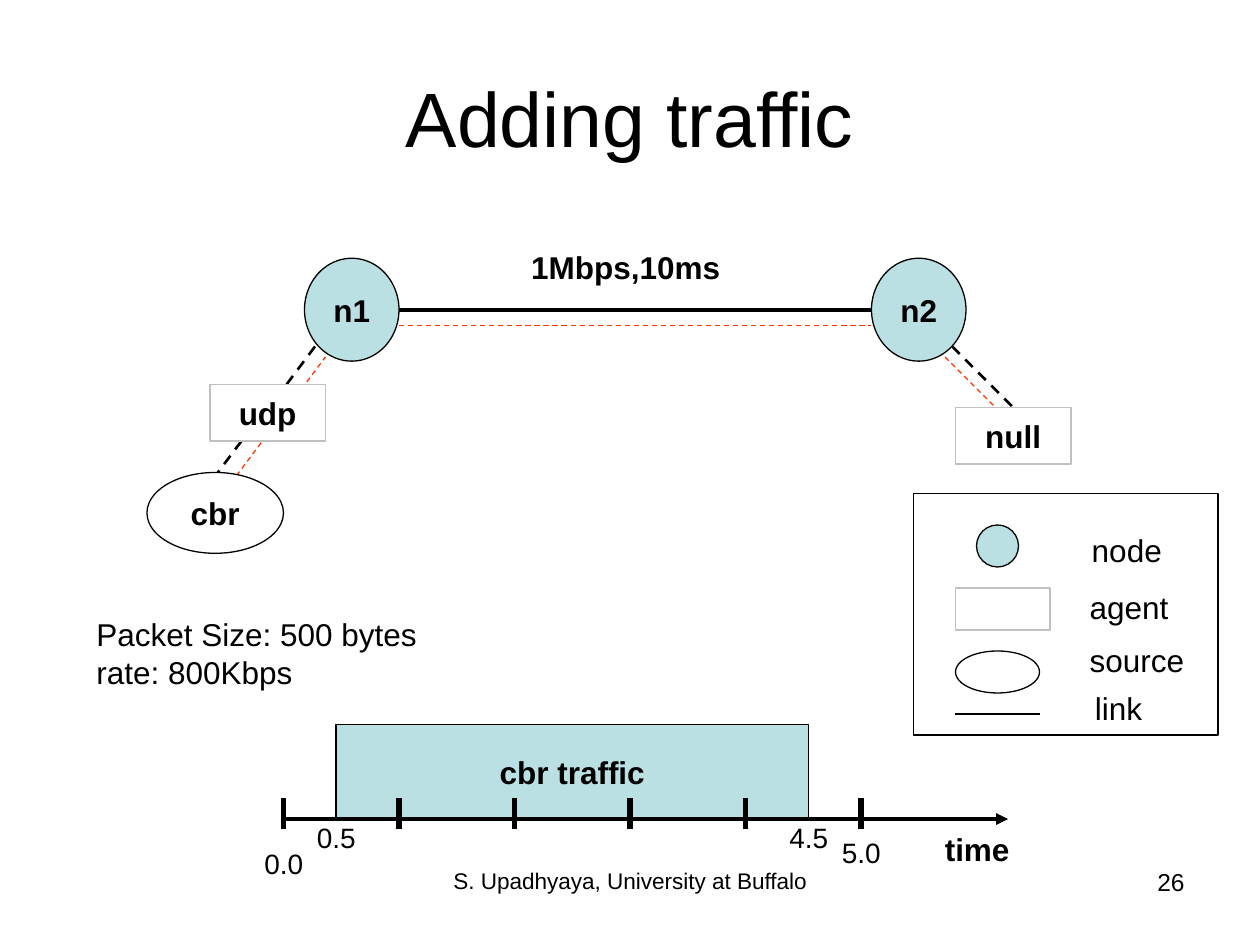
import pptx
import pptx.util
import pptx.dml.color
import pptx.enum.dml
import pptx.enum.shapes
import pptx.enum.text
import pptx.oxml
import pptx.oxml.ns

PX = 914400 // 120
BLACK, WHITE, GRAY, RED, TEAL = "000000", "FFFFFF", "C0C0C0", "FF3300", "BBE0E3"
RECT = pptx.enum.shapes.MSO_SHAPE.RECTANGLE
OVAL = pptx.enum.shapes.MSO_SHAPE.OVAL
LEFT = pptx.enum.text.PP_ALIGN.LEFT
CENTER = pptx.enum.text.PP_ALIGN.CENTER
RIGHT = pptx.enum.text.PP_ALIGN.RIGHT
TOP = pptx.enum.text.MSO_ANCHOR.TOP
MIDDLE = pptx.enum.text.MSO_ANCHOR.MIDDLE


def emu(*lengths):
    return [n * PX for n in lengths]


def rgb(color):
    return pptx.dml.color.RGBColor.from_string(color)


def write(sp, text, size=18, bold=False, align=LEFT, anchor=TOP, wrap=True):
    tf = sp.text_frame
    tf.word_wrap = wrap
    tf.vertical_anchor = anchor
    for i, line in enumerate(text.split("\n")):
        p = tf.add_paragraph() if i else tf.paragraphs[0]
        p.alignment = align
        r = p.add_run()
        r.text = line
        r.font.name = "Arial"
        r.font.size = pptx.util.Pt(size)
        r.font.bold = bold
        r.font.color.rgb = rgb(BLACK)


def label(shapes, box, text, **fmt):
    write(shapes.add_textbox(*emu(*box)), text, **fmt)


def shape(shapes, kind, box, fill=WHITE, line=BLACK, text=""):
    sp = shapes.add_shape(kind, *emu(*box))
    sp.shadow.inherit = False
    sp.fill.solid()
    sp.fill.fore_color.rgb = rgb(fill)
    sp.line.color.rgb = rgb(line)
    sp.line.width = pptx.util.Pt(0.75)
    if text:
        write(sp, text, bold=True, align=CENTER, anchor=MIDDLE, wrap=False)


def line(shapes, ends, color=BLACK, width=0.75, dashed=False, arrow=False):
    cn = shapes.add_connector(pptx.enum.shapes.MSO_CONNECTOR.STRAIGHT, *emu(*ends))
    cn.line.color.rgb = rgb(color)
    cn.line.width = pptx.util.Pt(width)
    if dashed:
        cn.line.dash_style = pptx.enum.dml.MSO_LINE.DASH
    sp_pr = cn._element.spPr
    if arrow:
        ln = sp_pr.find(pptx.oxml.ns.qn("a:ln"))
        tail = pptx.oxml.parse_xml(f'<a:tailEnd {pptx.oxml.ns.nsdecls("a")} type="triangle"/>')
        ln.append(tail)
    sp_pr.append(pptx.oxml.parse_xml(f'<a:effectLst {pptx.oxml.ns.nsdecls("a")}/>'))


def network(s, x, y):
    """Nodes, agents and source, with the dashed traffic path between them."""
    flow = s.shapes.add_group_shape().shapes
    for x1, y1, x2, y2 in ((80, 230, 170, 110), (240, 80, 690, 80), (760, 110, 810, 160)):
        line(flow, (x + x1, y + y1, x + x2, y + y2), RED, dashed=True)
    for x1, y1, x2, y2 in ((160, 100, 130, 140), (90, 190, 60, 230), (767, 100, 825, 158)):
        line(s.shapes, (x + x1, y + y1, x + x2, y + y2), width=1.5, dashed=True)
    line(s.shapes, (x + 240, y + 65, x + 690, y + 65), width=2.25)
    for dx, name in ((150, "n1"), (717 - 27, "n2")):
        shape(s.shapes, OVAL, (x + dx, y + 16, 90, 98), TEAL, text=name)
    for dx, dy, name in ((60, 136, "udp"), (770, 158, "null")):
        shape(s.shapes, RECT, (x + dx, y + dy, 110, 54), line=GRAY, text=name)
    shape(s.shapes, OVAL, (x, y + 220, 130, 77), text="cbr")
    label(s.shapes, (x + 240, y, 432, 48), "1Mbps,10ms", bold=True, align=CENTER)


def timeline(s, x, y):
    """Time axis from 0.0 to 5.0 with the span of the traffic above it."""
    shapes = s.shapes.add_group_shape().shapes
    axis = y + 90
    shape(shapes, RECT, (x + 50, y, 450, 90), TEAL, text="cbr traffic")
    line(shapes, (x, axis, x + 690, axis), width=2.25, arrow=True)
    for i in range(6):
        tick = x + 110 * i
        line(shapes, (tick, axis - 20, tick, axis + 10), width=3)
    for dx, dy, time in ((0, 20, "0.0"), (50, -4, "0.5"), (500, -4, "4.5"), (550, 10, "5.0")):
        label(shapes, (x + dx - 30, axis + dy, 70, 44), time, size=16)
    label(shapes, (x + 618, axis + 5, 90, 48), "time", bold=True)


def legend(s, x, y):
    shapes = s.shapes.add_group_shape().shapes
    shape(shapes, RECT, (x, y, 290, 230))
    shape(shapes, OVAL, (x + 60, y + 30, 40, 40), TEAL)
    shape(shapes, RECT, (x + 40, y + 90, 90, 40), line=GRAY)
    shape(shapes, OVAL, (x + 40, y + 150, 80, 40))
    line(shapes, (x + 40, y + 210, x + 120, y + 210))
    for dx, dy, name in ((158, 30, "node"), (156, 84, "agent"),
                         (156, 135, "source"), (161, 180, "link")):
        label(shapes, (x + dx, y + dy, 120, 48), name)


def main():
    prs = pptx.Presentation()
    prs.slide_width, prs.slide_height = emu(1200, 900)
    s = prs.slides.add_slide(prs.slide_layouts[6])
    label(s.shapes, (60, 36, 1080, 150), "Adding traffic", size=44, align=CENTER, anchor=MIDDLE)
    network(s, 140, 230)
    label(s.shapes, (80, 580, 360, 84), "Packet Size: 500 bytes\nrate: 800Kbps")
    timeline(s, 270, 690)
    legend(s, 870, 470)
    label(s.shapes, (410, 820, 380, 62), "S. Upadhyaya, University at Buffalo",
          size=12.9, align=CENTER)
    label(s.shapes, (860, 820, 280, 62), "26", size=14, align=RIGHT)
    prs.save("out.pptx")


if __name__ == "__main__":
    main()
